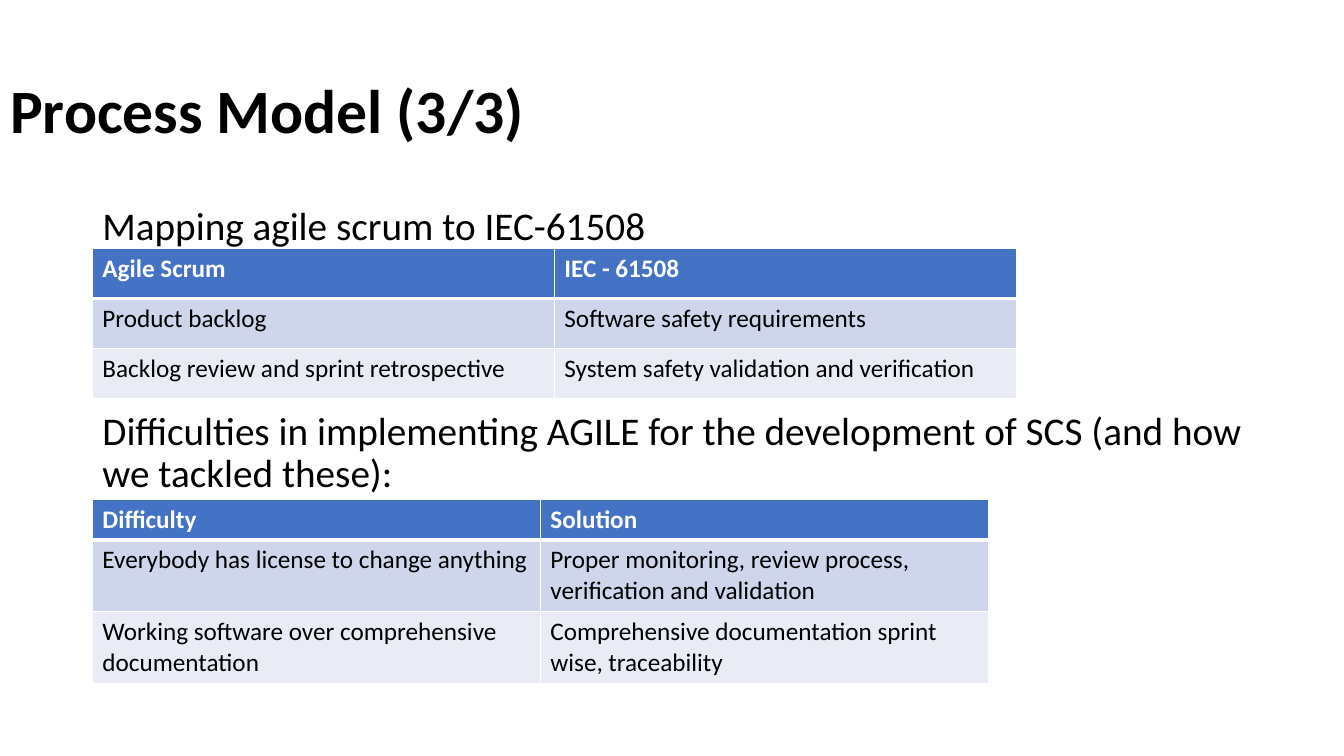
from dataclasses import dataclass

from lxml import etree
from pptx import Presentation
from pptx.dml.color import RGBColor
from pptx.enum import text as t
from pptx.oxml.ns import qn
from pptx.util import Pt


@dataclass(frozen=True)
class Theme:
    """Colours, font and type sizes of the deck."""
    font: str = "Calibri"
    ink: str = "000000"
    paper: str = "FFFFFF"
    head: str = "4472C4"
    bands: tuple = ("CFD5EA", "E9EBF5")
    title: int = 44
    body: int = 28
    cell: int = 18


THEME = Theme()


def apply(obj, vals):
    """Set each attribute of obj named in vals."""
    for name, val in vals.items():
        setattr(obj, name, val)


def style(para, size, color=THEME.ink, bold=False, **form):
    """Format one paragraph and its font."""
    apply(para.font, dict(name=THEME.font, size=Pt(size), bold=bold))
    para.font.color.rgb = RGBColor.from_string(color)
    apply(para, dict(alignment=t.PP_ALIGN.LEFT, **form))


def place(shape, box, anchor):
    """Move a placeholder to box and fix its text frame."""
    apply(shape, dict(zip(("left", "top", "width", "height"), map(Pt, box))))
    apply(shape.text_frame, dict(word_wrap=True, vertical_anchor=anchor,
                                 auto_size=t.MSO_AUTO_SIZE.NONE))


def add_title(slide, box, words):
    """Fill the title placeholder."""
    shape = slide.shapes.title
    place(shape, box, t.MSO_ANCHOR.MIDDLE)
    shape.text_frame.text = words
    style(shape.text_frame.paragraphs[0], THEME.title, bold=True,
          line_spacing=0.9)


def add_body(slide, box, items):
    """Fill the body placeholder with (words, space before) items."""
    shape = slide.placeholders[1]
    place(shape, box, t.MSO_ANCHOR.TOP)
    frame = shape.text_frame
    frame.text = "\n".join(words for words, _ in items)
    for para, (_, gap) in zip(frame.paragraphs, items):
        style(para, THEME.body, line_spacing=0.9, space_before=Pt(gap),
              space_after=Pt(0))
        props = para._p.get_or_add_pPr()
        props.set("marL", "0")
        props.set("indent", "0")
        etree.SubElement(props, qn("a:buNone"))


def add_edges(cell, widths):
    """Draw white cell borders, given a width for each side."""
    props = cell._tc.get_or_add_tcPr()
    for spot, (side, width) in enumerate(widths.items()):
        line = etree.Element(qn("a:ln" + side), w=str(Pt(width)))
        fill = etree.SubElement(line, qn("a:solidFill"))
        etree.SubElement(fill, qn("a:srgbClr"), val=THEME.paper)
        props.insert(spot, line)


def add_grid(slide, box, heights, rows):
    """Add a table with a header row and banded rows in box."""
    cols = len(rows[0])
    grid = slide.shapes.add_table(len(rows), cols, *map(Pt, box)).table
    for col in grid.columns:
        col.width = Pt(box[2] / cols)
    for r, (height, row) in enumerate(zip(heights, rows)):
        grid.rows[r].height = Pt(height)
        top = r == 0
        fill = THEME.head if top else THEME.bands[(r - 1) % 2]
        for c, words in enumerate(row):
            cell = grid.cell(r, c)
            cell.text = words
            style(cell.text_frame.paragraphs[0], THEME.cell,
                  THEME.paper if top else THEME.ink, top)
            cell.fill.solid()
            cell.fill.fore_color.rgb = RGBColor.from_string(fill)
            add_edges(cell, dict(L=1, R=1, T=3 if r == 1 else 1,
                                 B=3 if top else 1))


def build():
    """Build the slide and save the deck."""
    deck = Presentation()
    apply(deck, dict(slide_width=Pt(960), slide_height=Pt(540)))
    slide = deck.slides.add_slide(deck.slide_layouts[1])
    left = 66
    add_title(slide, (0, 28.8, 894, 104.4), "Process Model (3/3)")
    add_body(slide, (left, 144, 828, 342.6), [
        ("Mapping agile scrum to IEC-61508", 0),
        ("Difficulties in implementing AGILE for the development of SCS "
         "(and how we tackled these):", 116)])
    add_grid(slide, (left, 177.4, 660, 107.4), [35.8] * 3, [
        ("Agile Scrum", "IEC - 61508"),
        ("Product backlog", "Software safety requirements"),
        ("Backlog review and sprint retrospective",
         "System safety validation and verification")])
    add_grid(slide, (left, 356.4, 640, 130.2), [29.2, 50.5, 50.5], [
        ("Difficulty", "Solution"),
        ("Everybody has license to change anything",
         "Proper monitoring, review process, verification and validation"),
        ("Working software over comprehensive documentation",
         "Comprehensive documentation sprint wise, traceability")])
    deck.save("out.pptx")


build()
